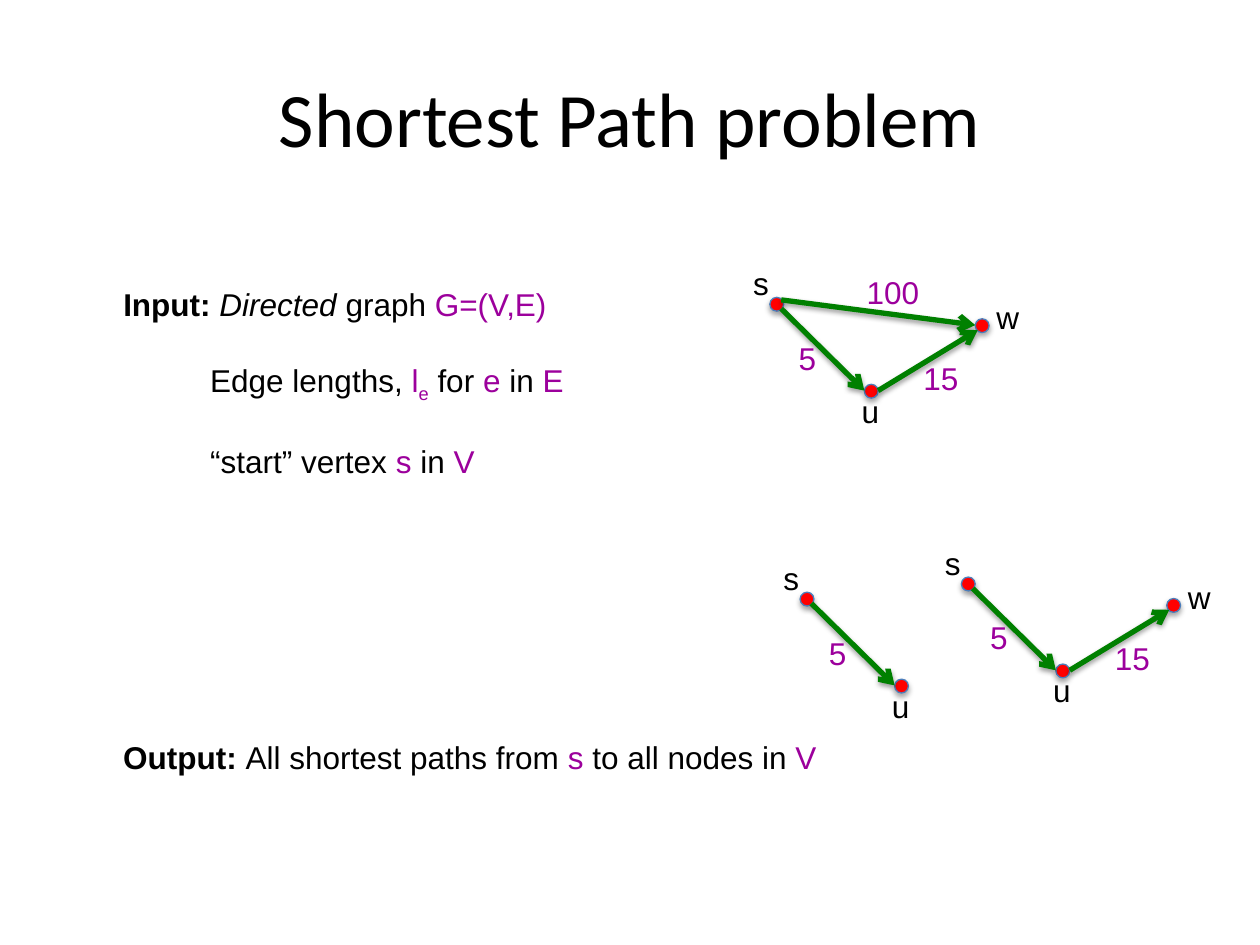
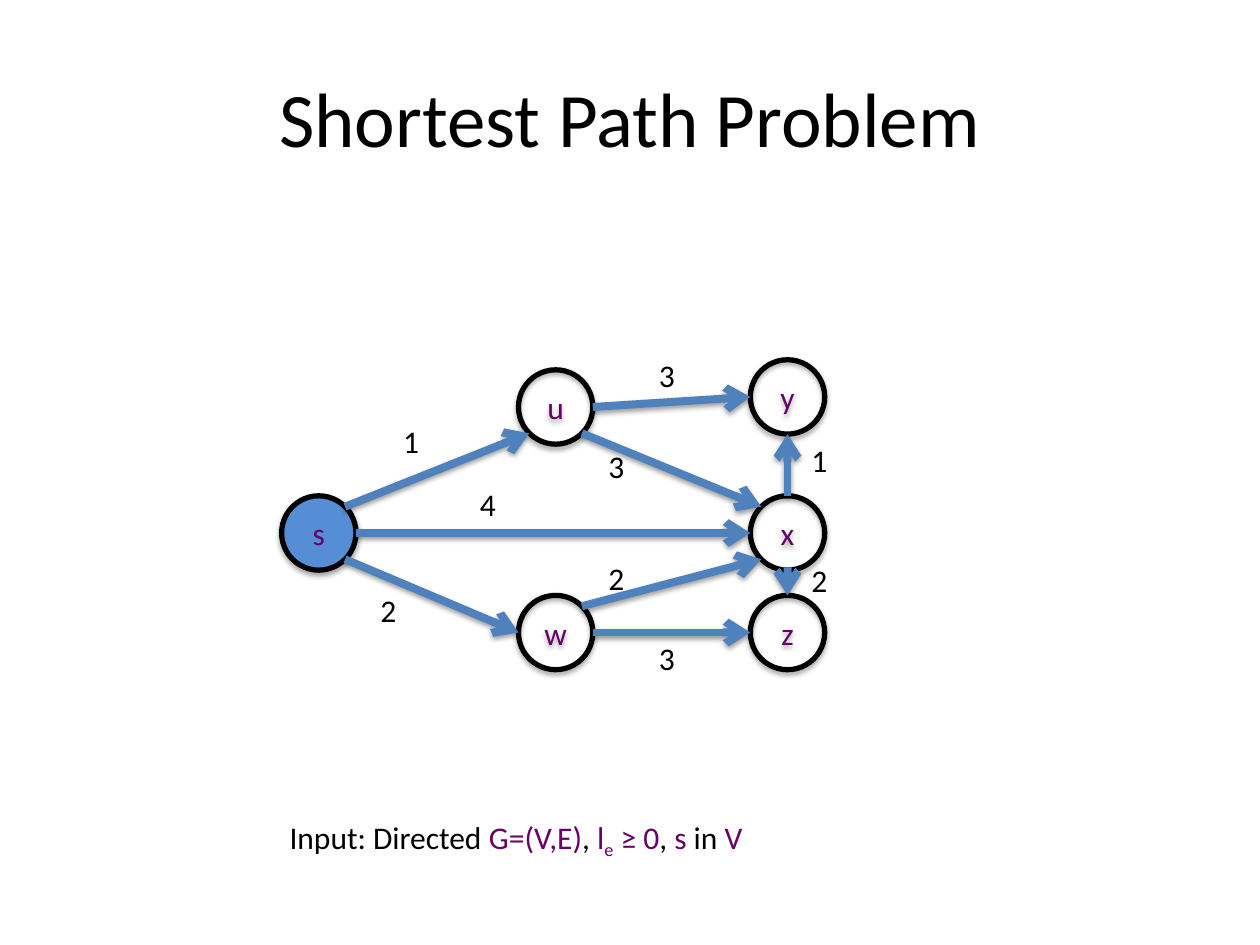
from dataclasses import dataclass
from math import cos, radians, sin

from lxml.etree import SubElement
from pptx import Presentation
from pptx.dml.color import RGBColor
from pptx.enum.shapes import MSO_CONNECTOR, MSO_SHAPE
from pptx.enum.text import MSO_ANCHOR, PP_ALIGN
from pptx.oxml.ns import qn
from pptx.util import Inches, Pt


@dataclass(frozen=True)
class Theme:
    black: str = "000000"
    violet: str = "9C009C"
    plum: str = "660066"
    green: str = "008000"
    red: str = "FF0000"
    rim: str = "4B7EBC"
    blue: str = "4F81BD"
    sky: str = "558ED5"
    head: str = "Calibri"
    body: str = "Arial"
    big: int = 44
    size: int = 18
    gap: int = 22


theme = Theme()


def write(para, runs, font=theme.body, size=theme.size):
    for text, color, *marks in runs:
        run = para.add_run()
        run.text = text
        run.font.name = font
        run.font.size = Pt(size)
        run.font.color.rgb = RGBColor.from_string(color)
        run.font.bold = "bold" in marks
        run.font.italic = "italic" in marks
        if "sub" in marks:
            run.font._element.set("baseline", "-25000")


def trace(shape, color, width, alpha, drop, arrow=False):
    shape.line.color.rgb = RGBColor.from_string(color)
    shape.line.width = Pt(width)
    if arrow:
        SubElement(shape.line._get_or_add_ln(), qn("a:tailEnd"), type="arrow")
    effect = SubElement(shape._element.spPr, qn("a:effectLst"))
    cast = SubElement(effect, qn("a:outerShdw"), blurRad=str(Pt(3.1)),
                      dist=str(Pt(drop)), dir="5400000", rotWithShape="0")
    tone = SubElement(cast, qn("a:srgbClr"), val=theme.black)
    SubElement(tone, qn("a:alpha"), val=str(alpha * 1000))


deck = Presentation()
deck.slide_width, deck.slide_height = Inches(10), Inches(7.5)

slides = []
for name in ("Shortest Path problem", "Shortest Path Problem"):
    slide = deck.slides.add_slide(deck.slide_layouts[5])
    title = slide.shapes.title
    title.left, title.top = Inches(0.5), Inches(0.3)
    title.width, title.height = Inches(9), Inches(1.25)
    title.text_frame.vertical_anchor = MSO_ANCHOR.MIDDLE
    para = title.text_frame.paragraphs[0]
    para.alignment = PP_ALIGN.CENTER
    write(para, [(name, theme.black)], theme.head, theme.big)
    slides.append(slide)
first, second = slides

black, violet, plum = theme.black, theme.violet, theme.plum
given = [
    [("Input: ", black, "bold"), ("Directed", black, "italic"),
     (" graph ", black), ("G=(V,E)", violet)],
    [("Edge lengths, ", black), ("l", violet), ("e", violet, "sub"),
     (" for ", black), ("e", violet), (" in ", black), ("E", violet)],
    [("“start” vertex ", black), ("s", violet), (" in ", black), ("V", violet)],
]
result = [[("Output: ", black, "bold"), ("All shortest paths from ", black),
           ("s", violet), (" to all nodes in ", black), ("V", violet)]]
setup = [[("Input: Directed ", black), ("G=(V,E)", plum), (", ", black),
          ("l", plum), ("e", plum, "sub"), (" ≥ 0", plum), (", ", black),
          ("s", plum), (" in ", black), ("V", plum)]]

notes = [
    (first, theme.body, 0.88, 2.21, 3.75, 1.61, given),
    (first, theme.body, 0.88, 5.81, 5.76, 0.4, result),
    (second, theme.head, 2.2, 6.44, 4.83, 0.4, setup),
]

dots = {"s": (6.11, 2.36), "u": (6.86, 3.05), "w": (7.74, 2.53)}
names = {"s": (5.88, 2.05), "u": (6.74, 3.06), "w": (7.81, 2.32)}
paths = {
    "su": (6.2, 2.45, 6.86, 3.1, "5", 6.24, 2.64),
    "uw": (6.97, 3.1, 7.76, 2.62, "15", 7.23, 2.8),
    "sw": (6.2, 2.38, 7.74, 2.58, "100", 6.78, 2.12),
}
graphs = [
    (0, 0, "suw", ("sw", "uw", "su")),
    (0.24, 2.34, "su", ("su",)),
    (1.52, 2.22, "suw", ("uw", "su")),
]
edges = []
for dx, dy, verts, links in graphs:
    for vert in verts:
        x, y = dots[vert]
        dot = first.shapes.add_shape(MSO_SHAPE.OVAL, Inches(x + dx), Inches(y + dy),
                                     Inches(0.11), Inches(0.11))
        dot.fill.solid()
        dot.fill.fore_color.rgb = RGBColor.from_string(theme.red)
        trace(dot, theme.rim, 0.75, 35, 1.8)
        x, y = names[vert]
        notes.append((first, theme.body, x + dx, y + dy, 0.4, 0.4, [[(vert, black)]]))
    for link in links:
        x1, y1, x2, y2, cost, x, y = paths[link]
        edges.append((first, theme.green, 3, x1 + dx, y1 + dy, x2 + dx, y2 + dy))
        notes.append((first, theme.body, x + dx, y + dy, 0.62, 0.4, [[(cost, violet)]]))

radius = 0.295
nodes = {"s": (2.53, 4.23), "w": (4.41, 5.02), "u": (4.41, 3.23),
         "z": (6.25, 5.02), "x": (6.25, 4.23), "y": (6.25, 3.15)}
for name, (x, y) in nodes.items():
    node = second.shapes.add_shape(MSO_SHAPE.OVAL, Inches(x - radius), Inches(y - radius),
                                   Inches(2 * radius), Inches(2 * radius))
    if name == "s":
        node.fill.solid()
        node.fill.fore_color.rgb = RGBColor.from_string(theme.sky)
    else:
        node.fill.background()
    trace(node, black, 3, 35, 1.8)
    node.text_frame.vertical_anchor = MSO_ANCHOR.MIDDLE
    para = node.text_frame.paragraphs[0]
    para.alignment = PP_ALIGN.CENTER
    write(para, [(name, plum)], theme.head)

routes = [
    ("s", -45, "u", 135, "1", 3.1, 3.3),
    ("u", 0, "y", 180, "3", 5.13, 2.78),
    ("s", 45, "w", 180, "2", 2.92, 4.64),
    ("w", 0, "z", 180, "3", 5.13, 5.02),
    ("x", -90, "y", 90, "1", 6.34, 3.45),
    ("x", 90, "z", -90, "2", 6.34, 4.4),
    ("s", 0, "x", 180, "4", 3.71, 3.8),
    ("u", 45, "x", -135, "3", 4.73, 3.5),
    ("w", -45, "x", 135, "2", 4.73, 4.39),
]
for start, leave, end, enter, cost, x, y in routes:
    ends = []
    for name, angle in ((start, leave), (end, enter)):
        cx, cy = nodes[name]
        turn = radians(angle)
        ends += [cx + radius * cos(turn), cy + radius * sin(turn)]
    edges.append((second, theme.blue, 4.5, *ends))
    notes.append((second, theme.head, x, y, 0.41, 0.4, [[(cost, black)]]))

for slide, color, width, *ends in edges:
    edge = slide.shapes.add_connector(MSO_CONNECTOR.STRAIGHT, *map(Inches, ends))
    trace(edge, color, width, 38, 1.6, arrow=True)

for slide, font, x, y, width, height, lines in notes:
    box = slide.shapes.add_textbox(Inches(x), Inches(y), Inches(width), Inches(height))
    frame = box.text_frame
    frame.word_wrap = True
    frame.margin_right = 0
    for rank, runs in enumerate(lines):
        para = frame.add_paragraph() if rank else frame.paragraphs[0]
        if rank:
            para.space_before = Pt(theme.gap)
            para._p.get_or_add_pPr().set("marL", str(Inches(0.69)))
        write(para, runs, font)

deck.save("out.pptx")
